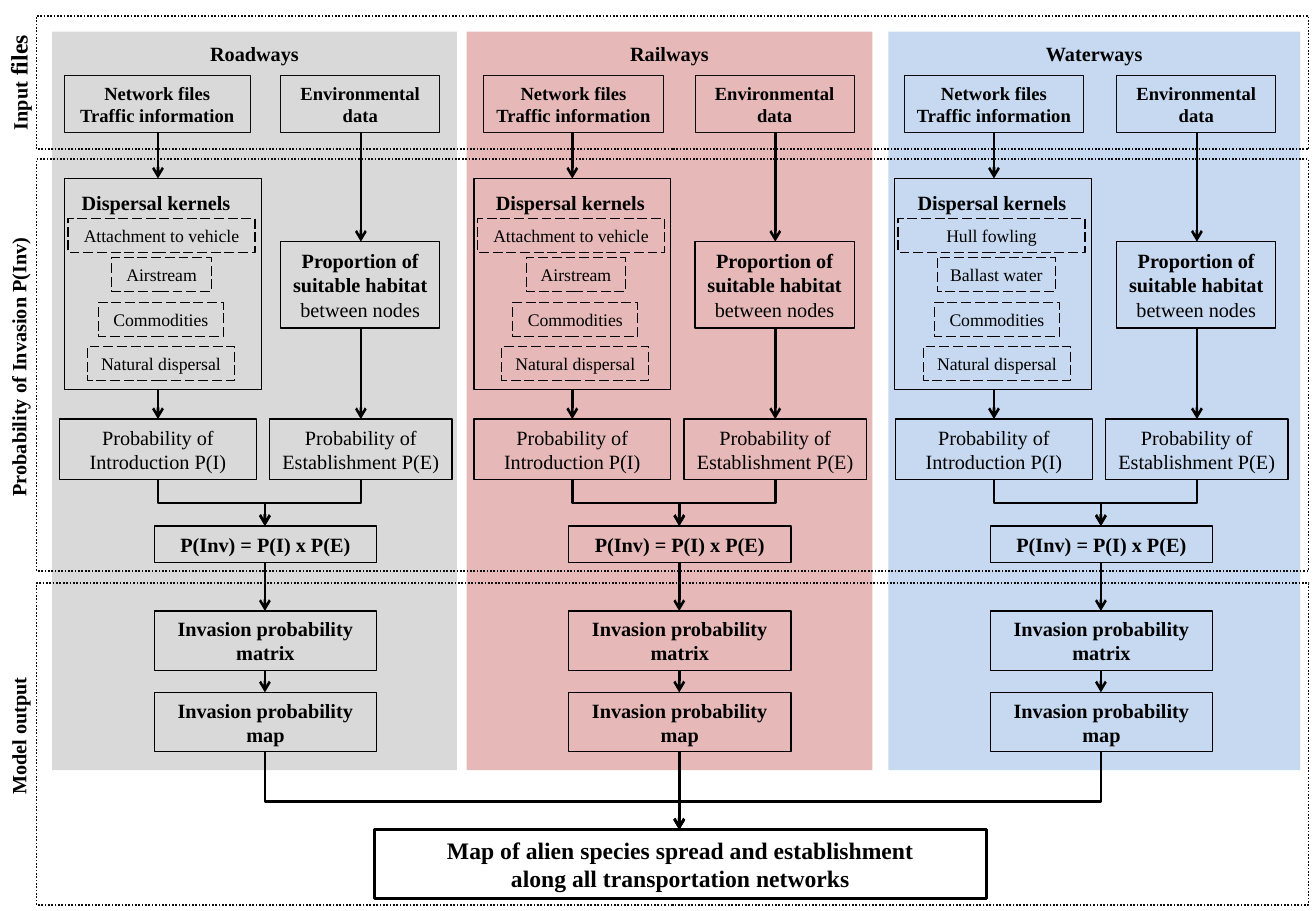
import dataclasses

import pptx
import pptx.dml.color
import pptx.enum.dml
import pptx.enum.shapes
import pptx.enum.text
import pptx.oxml
import pptx.oxml.ns
import pptx.util

DASH = pptx.enum.dml.MSO_LINE
KIND = pptx.enum.shapes.MSO_CONNECTOR
RECT = pptx.enum.shapes.MSO_SHAPE.RECTANGLE
COLS, ROWS = 1083, 750
WIDE, HIGH = pptx.util.Inches(10.83), pptx.util.Inches(7.5)


@dataclasses.dataclass(frozen=True)
class Theme:
    """Colours, font, type sizes and line widths."""
    face: str = "Times New Roman"
    ink: str = "000000"
    edge: str = "0D0D0D"
    road: str = "D9D9D9"
    rail: str = "E6B9B8"
    water: str = "C6D9F1"
    small: float = 10.5
    input: float = 11
    body: float = 12
    large: float = 14
    hair: float = 0.5
    thin: float = 0.75
    dot: float = 1
    arrow: float = 1.5
    thick: float = 2


LOOK = Theme()


def tint(text):
    """Turn a hex string into a colour."""
    return pptx.dml.color.RGBColor.from_string(text)


def across(cols):
    """Turn grid columns into a length."""
    return round(cols * WIDE / COLS)


def down(rows):
    """Turn grid rows into a length."""
    return round(rows * HIGH / ROWS)


def inside(box, x, y, w, h):
    """Place a part relative to the corner of a box."""
    return box[0] + x, box[1] + y, w, h


def style(para, size, bold):
    """Centre a paragraph and set its font."""
    para.alignment = pptx.enum.text.PP_ALIGN.CENTER
    font = para.font
    font.name, font.size, font.bold = LOOK.face, pptx.util.Pt(size), bold
    font.color.rgb = tint(LOOK.ink)


def block(slide, box, text="", size=LOOK.body, bold=False, width=0,
          ink=LOOK.ink, dash=None, fill=None, wrap=True):
    """Draw a rectangle with centred text."""
    x, y, w, h = box
    shape = slide.shapes.add_shape(RECT, across(x), down(y), across(w), down(h))
    shape.shadow.inherit = False
    if fill:
        shape.fill.solid()
        shape.fill.fore_color.rgb = tint(fill)
    else:
        shape.fill.background()
    if width:
        shape.line.color.rgb = tint(ink)
        shape.line.width = pptx.util.Pt(width)
        shape.line.dash_style = dash
    else:
        shape.line.fill.background()
    if text:
        frame = shape.text_frame
        frame.word_wrap = wrap
        frame.vertical_anchor = pptx.enum.text.MSO_ANCHOR.MIDDLE
        frame.text = text
        for para in frame.paragraphs:
            style(para, size, bold)
    return shape


def arrow(slide, start, end, bend=0.5):
    """Draw an arrow down, with an elbow where the ends are not in line."""
    (x1, y1), (x2, y2) = start, end
    bent = x1 != x2
    if bent:
        midx, midy = (x1 + x2) / 2, (y1 + y2) / 2
        half, rise = (y2 - y1) / 2, abs(x2 - x1) / 2
        side = 1 if x2 < x1 else -1
        x1, x2 = midx - side * half, midx + side * half
        y1, y2 = midy - rise, midy + rise
    link = slide.shapes.add_connector(
        KIND.ELBOW if bent else KIND.STRAIGHT,
        across(x1), down(y1), across(x2), down(y2))
    link.line.color.rgb = tint(LOOK.ink)
    link.line.width = pptx.util.Pt(LOOK.arrow)
    props = link.element.spPr
    if bent:
        props.xfrm.set("rot", str((90 if side > 0 else 270) * 60000))
        guide = pptx.oxml.parse_xml(
            f'<a:gd {pptx.oxml.ns.nsdecls("a")} name="adj1" '
            f'fmla="val {round(bend * 100000)}"/>')
        props.find(".//" + pptx.oxml.ns.qn("a:avLst")).append(guide)
    head = pptx.oxml.parse_xml(
        f'<a:tailEnd {pptx.oxml.ns.nsdecls("a")} type="arrow"/>')
    link.line._get_or_add_ln().append(head)
    props.append(pptx.oxml.parse_xml(
        f'<a:effectLst {pptx.oxml.ns.nsdecls("a")}/>'))


def band(slide, box, label, mid, tail=""):
    """Draw a dotted stage frame with its upright label."""
    block(slide, box, width=LOOK.dot, ink=LOOK.edge, dash=DASH.ROUND_DOT)
    span, deep = 336, 30
    place = (15 - span / 2, mid - deep / 2, span, deep)
    name = block(slide, place, label, bold=True)
    name.rotation = 270
    if tail:
        run = name.text_frame.paragraphs[0].add_run()
        run.text, run.font.size = tail, pptx.util.Pt(LOOK.large)


def kernels(slide, box, modes):
    """Draw the dispersal box with its dashed modes."""
    block(slide, box, width=LOOK.thin)
    lane = box[0] + box[2] / 2
    for (name, mid, w), y in zip(modes, (33, 65, 102, 138)):
        place = (mid - w / 2 if mid else lane - w / 2 - 1, box[1] + y, w, 28)
        block(slide, place, name, LOOK.small, width=LOOK.thin,
              dash=DASH.LONG_DASH, wrap=not mid)


def lane(slide, box, title, fill, net, kern, modes):
    """Draw one transport lane and return the foot of its stem."""
    left, top, wide, _ = box
    one, two, stem = 87, 254, 175
    block(slide, box, fill=fill)
    block(slide, inside(box, 0, 3, wide, 30), title, bold=True)
    inputs = ((*net, "Network files\nTraffic information"),
              (188, 131, "Environmental\ndata"))
    for x, w, text in inputs:
        block(slide, inside(box, x, 36, w, 47), text, LOOK.input, True,
              LOOK.hair, LOOK.edge)
    named = [(name, mid and left + mid, w) for name, mid, w in modes]
    kernels(slide, inside(box, kern, 121, 162, 174), named)
    block(slide, inside(box, 14, 122, 143, 38), "Dispersal kernels", bold=True)
    land = block(slide, inside(box, 188, 173, 131, 71),
                 "Proportion of suitable habitat ", bold=True, width=LOOK.thin)
    run = land.text_frame.paragraphs[0].add_run()
    run.text, run.font.bold = "between nodes", False
    steps = ((6, 319, 162, 50, "Probability of Introduction P(I)", False),
             (179, 319, 150, 50, "Probability of Establishment P(E)", False),
             (84, 407, 183, 30, "P(Inv) = P(I) x P(E)", True),
             (84, 477, 183, 49, "Invasion probability matrix", True),
             (84, 544, 183, 49, "Invasion probability map", True))
    for *place, text, bold in steps:
        block(slide, inside(box, *place), text, bold=bold, width=LOOK.thin)
    flows = ((one, 83, one, 121), (one, 295, one, 319), (one, 369, stem, 407),
             (two, 83, two, 173), (two, 244, two, 319), (two, 369, stem, 407),
             (stem, 437, stem, 477), (stem, 526, stem, 544))
    for x1, y1, x2, y2 in flows:
        arrow(slide, (left + x1, top + y1), (left + x2, top + y2))
    return left + stem, top + 593


def result(slide, box, feet):
    """Draw the final map box and lead every lane into it."""
    block(slide, box, "Map of alien species spread and establishment\n"
          "along all transportation networks", LOOK.large, True, LOOK.thick)
    goal = (feet[1][0], box[1])
    for foot in feet:
        arrow(slide, foot, goal, 0.64)


def main():
    """Build the slide and save it."""
    deck = pptx.Presentation()
    deck.slide_width, deck.slide_height = WIDE, HIGH
    slide = deck.slides.add_slide(deck.slide_layouts[6])
    rest = [("Commodities", 89.5, 103), ("Natural dispersal", 89.5, 121)]
    land = [("Attachment to vehicle", 0, 154), ("Airstream", 90, 82), *rest]
    sea = [("Hull fowling", 0, 154), ("Ballast water", 89, 97), *rest]
    lanes = ((43, 333, "Roadways", LOOK.road, (10, 153), 10, land),
             (384, 334, "Railways", LOOK.rail, (14, 148), 6, land),
             (731, 339, "Waterways", LOOK.water, (13, 148), 5, sea))
    feet = [lane(slide, (x, 26, w, 608), *rest) for x, w, *rest in lanes]
    bands = ((13, 110, "Input", 68, " files"),
             (131, 339, "Probability of Invasion P(Inv)", 302),
             (480, 265, "Model output", 606))
    for y, h, *label in bands:
        band(slide, (30, y, 1047, h), *label)
    result(slide, (308, 683, 504, 57), feet)
    deck.save("out.pptx")


main()
